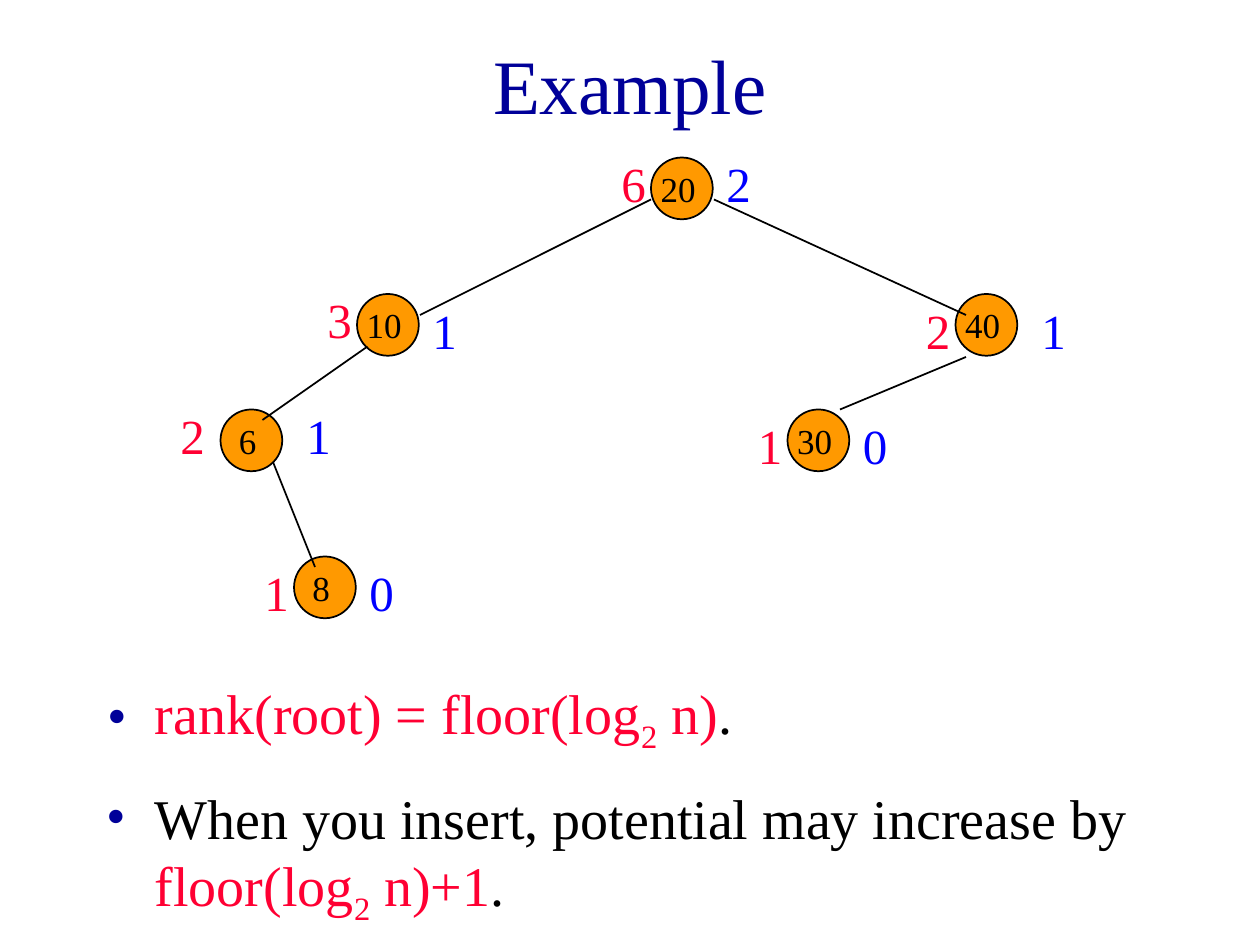
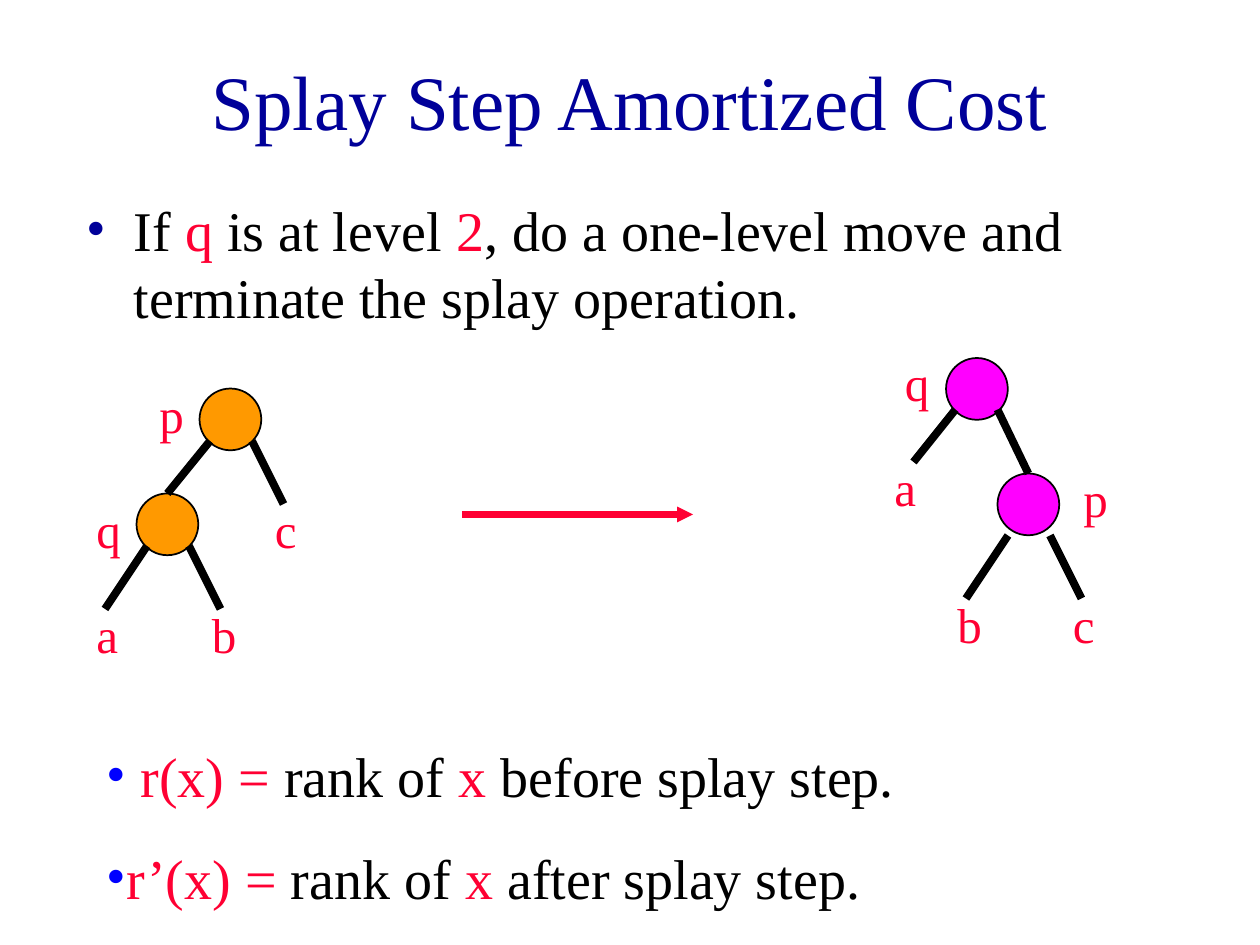
from pptx import Presentation
from pptx.dml.color import RGBColor
from pptx.enum.shapes import MSO_CONNECTOR, MSO_SHAPE
from pptx.enum.text import MSO_ANCHOR, MSO_AUTO_SIZE, PP_ALIGN
from pptx.oxml.ns import qn
from pptx.oxml.xmlchemy import OxmlElement
from pptx.util import Inches, Pt

NAVY = RGBColor(0x00, 0x00, 0x99)
BLUE = RGBColor(0x00, 0x00, 0xFF)
RED = RGBColor(0xFF, 0x00, 0x33)
BLACK = RGBColor(0x00, 0x00, 0x00)
ORANGE = RGBColor(0xFF, 0x99, 0x00)
PINK = RGBColor(0xFF, 0x00, 0xFF)
FONT = "Times New Roman"
CELL = Inches(1) / 12  # the slide is a grid of 120 columns by 90 rows
DISC = 5.88            # diameter of a tree node, in cells
LABEL = 6.8            # height of a label, in cells


def grid(*cells):
    return [round(n * CELL) for n in cells]


def style(run, size, color):
    run.font.name = FONT
    run.font.size = Pt(size)
    run.font.color.rgb = color


def child(parent, tag, **attrs):
    node = OxmlElement(tag)
    for key, value in attrs.items():
        node.set(key, value)
    parent.append(node)
    return node


def add_title(slide, text, rows):
    title = slide.shapes.title
    title.left, title.top, title.width, title.height = grid(9, 2, 102, rows)
    frame = title.text_frame
    frame.text = text
    frame.vertical_anchor = MSO_ANCHOR.MIDDLE
    frame.auto_size = MSO_AUTO_SIZE.NONE
    frame.paragraphs[0].alignment = PP_ALIGN.CENTER
    style(frame.paragraphs[0].runs[0], 44, NAVY)


def bullets(shape, box, items, color=NAVY, before=8, indent=0.38):
    """Fill a shape with a list; an item is (text, colour, subscript?) pieces."""
    shape.left, shape.top, shape.width, shape.height = grid(*box)
    frame = shape.text_frame
    frame.word_wrap = True
    frame.auto_size = MSO_AUTO_SIZE.NONE
    for i, item in enumerate(items):
        para = frame.add_paragraph() if i else frame.paragraphs[0]
        para.space_before = Pt(before)
        props = para._p.get_or_add_pPr()
        props.set("marL", str(Inches(indent)))
        props.set("indent", str(-Inches(indent)))
        tint = child(props, "a:buClr")
        child(tint, "a:srgbClr", val=str(color))
        child(props, "a:buFont", typeface=FONT)
        child(props, "a:buChar", char="•")
        for text, ink, *sub in item:
            run = para.add_run()
            run.text = text
            style(run, 32, ink)
            if sub:
                run._r.get_or_add_rPr().set("baseline", "-25000")


def add_list(slide, box, items, **look):
    bullets(slide.shapes.add_textbox(0, 0, 0, 0), box, items, **look)


def add_label(slide, x, y, width, text, color):
    box = slide.shapes.add_textbox(*grid(x, y, width, LABEL))
    frame = box.text_frame
    frame.word_wrap = True
    frame.text = text
    frame.paragraphs[0].space_before = Pt(17.5)
    style(frame.paragraphs[0].runs[0], 28, color)


def add_disc(slide, x, y, fill, key=""):
    disc = slide.shapes.add_shape(MSO_SHAPE.OVAL, *grid(x, y, DISC, DISC))
    disc.shadow.inherit = False
    disc.fill.solid()
    disc.fill.fore_color.rgb = fill
    disc.line.color.rgb = BLACK
    disc.line.width = Pt(1)
    if key:
        frame = disc.text_frame
        frame.word_wrap = False
        frame.margin_left = frame.margin_top = frame.margin_bottom = 0
        frame.margin_right = Inches(0.06)
        frame.vertical_anchor = MSO_ANCHOR.MIDDLE
        frame.text = key
        frame.paragraphs[0].alignment = PP_ALIGN.CENTER
        style(frame.paragraphs[0].runs[0], 20, BLACK)
    return disc


def add_line(slide, ends, width, color=BLACK, arrow=False):
    line = slide.shapes.add_connector(MSO_CONNECTOR.STRAIGHT, *grid(*ends))
    line.line.color.rgb = color
    line.line.width = Pt(width)
    props = line._element.spPr
    if arrow:
        child(props.find(qn("a:ln")), "a:tailEnd", type="triangle", w="sm", len="sm")
    child(props, "a:effectLst")
    return line


def ranked_tree(slide, left, top):
    """Tree with the size of each subtree on the left and its rank on the right."""
    # key, node column and row, size and its shift, rank and its shift
    nodes = [
        ("20", 46, 1, "6", (-4, -1), "2", (6, -1)),
        ("10", 18, 14, "3", (-4, -1), "1", (6, 0)),
        ("40", 75, 14, "2", (-4, 0), "1", (7, 0)),
        ("6", 5, 25, "2", (-5, -1), "1", (7, -1)),
        ("30", 59, 25, "1", (-4, 0), "0", (6, 0)),
        ("8", 12, 39, "1", (-4, 0), "0", (6, 0)),
    ]
    edges = [(46, 5, 24, 16), (52, 5, 76, 16), (19, 19, 9, 26),
             (76, 20, 64, 25), (10, 30, 14, 40)]
    for key, x, y, *_ in nodes:
        add_disc(slide, left + x, top + y, ORANGE, key)
    for x1, y1, x2, y2 in edges:
        add_line(slide, (left + x1, top + y1, left + x2, top + y2), 1)
    for _, x, y, size, near, rank, far in nodes:
        for text, (dx, dy), ink in ((size, near, RED), (rank, far, BLUE)):
            add_label(slide, left + x + dx, top + y + dy, 6, text, ink)


def splay_tree(slide, left, top, fill, root, kid, edges, labels):
    """Two nodes; the first edge joins them, the others lead to leaves."""
    add_disc(slide, left + root[0], top + root[1], fill)
    low = add_disc(slide, left + kid[0], top + kid[1], fill)
    for i, (x1, y1, x2, y2) in enumerate(edges):
        line = add_line(slide, (left + x1, top + y1, left + x2, top + y2), 4.5)
        if i == 0:
            line.end_connect(low, 0)
    for text, x, y in labels:
        add_label(slide, left + x, top + y, 4 if text in "pq" else 8, text, RED)


def example_slide(slide):
    add_title(slide, "Example", 12)
    bullets(slide.placeholders[1], (9, 64, 103, 9), [[
        ("rank(root) = floor(log", RED), ("2", RED, True), (" n)", RED), (".", BLACK)]])
    add_list(slide, (9, 74, 103, 9), [[
        ("When you insert, potential may increase by ", BLACK), ("floor(log", RED),
        ("2", RED, True), (" n)+1", RED), (".", BLACK)]])
    ranked_tree(slide, 16, 14)


def cost_slide(slide):
    add_title(slide, "Splay Step Amortized Cost", 15)
    bullets(slide.placeholders[1], (7, 18, 102, 18), [[
        ("If ", BLACK), ("q", RED), (" is at level ", BLACK), ("2", RED),
        (", do a one-level move and terminate the splay operation.", BLACK)]])
    splay_tree(slide, 8, 36, ORANGE, (11, 1), (5, 11),
               [(12, 6, 8, 11), (16, 6, 19, 12), (6, 16, 2, 22), (10, 16, 13, 22)],
               [("p", 6, 0), ("q", 0, 11), ("a", 0, 21), ("b", 11, 21), ("c", 17, 11)])
    add_line(slide, (44, 49, 66, 49), 4.5, RED, arrow=True)
    splay_tree(slide, 84, 33, PINK, (6.1, 1.1), (11, 12.1),
               [(11, 6, 14, 12), (7, 6, 3, 11), (12, 18, 8, 24), (16, 18, 19, 24)],
               [("q", 1, 0), ("p", 18, 11), ("a", 0, 10), ("b", 6, 23), ("c", 17, 23)])
    ranks = [[(start, RED), ("rank of", BLACK), (" x ", RED),
              (f"{when} splay step.", BLACK)]
             for start, when in ((" r(x) = ", "before"), ("r’(x) = ", "after"))]
    add_list(slide, (9, 70, 111, 20), ranks, color=BLUE, before=20, indent=0)


def main():
    deck = Presentation()
    deck.slide_width, deck.slide_height = Inches(10), Inches(7.5)
    for build in (example_slide, cost_slide):
        build(deck.slides.add_slide(deck.slide_layouts[1]))
    deck.save("out.pptx")


if __name__ == "__main__":
    main()
